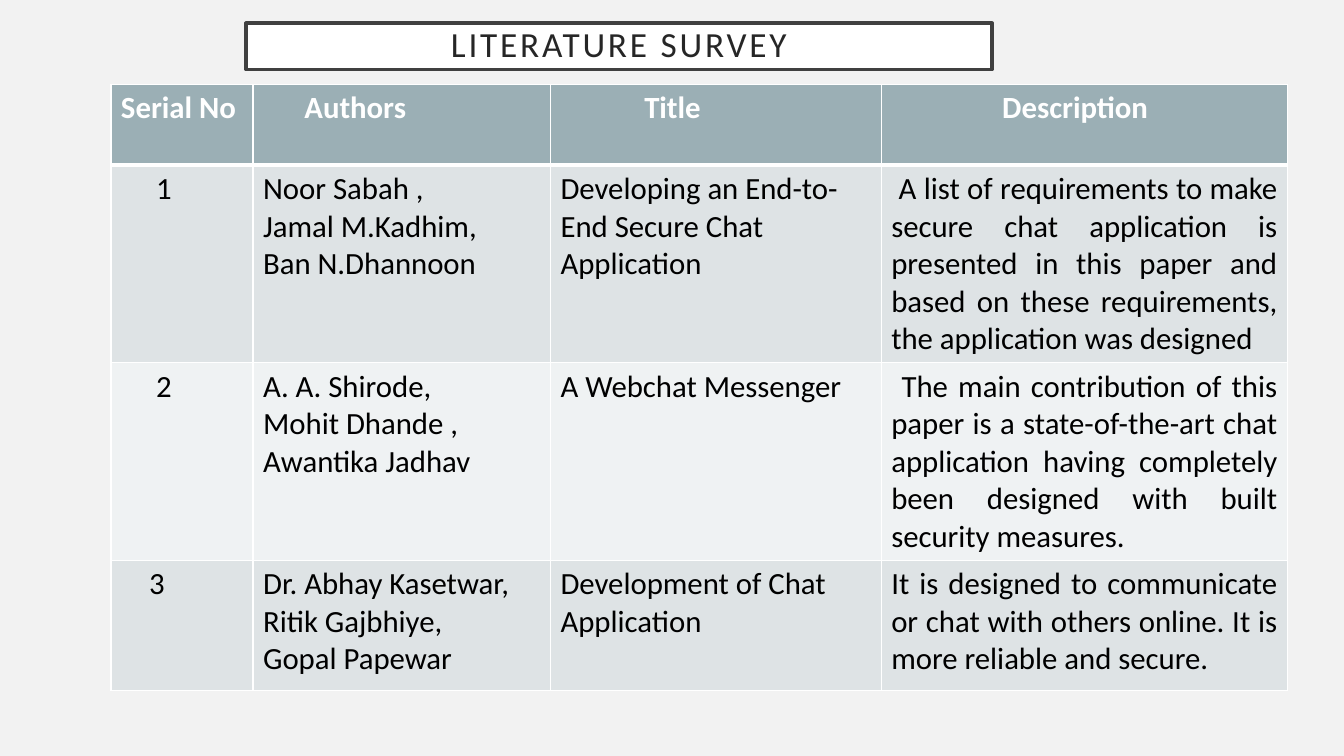
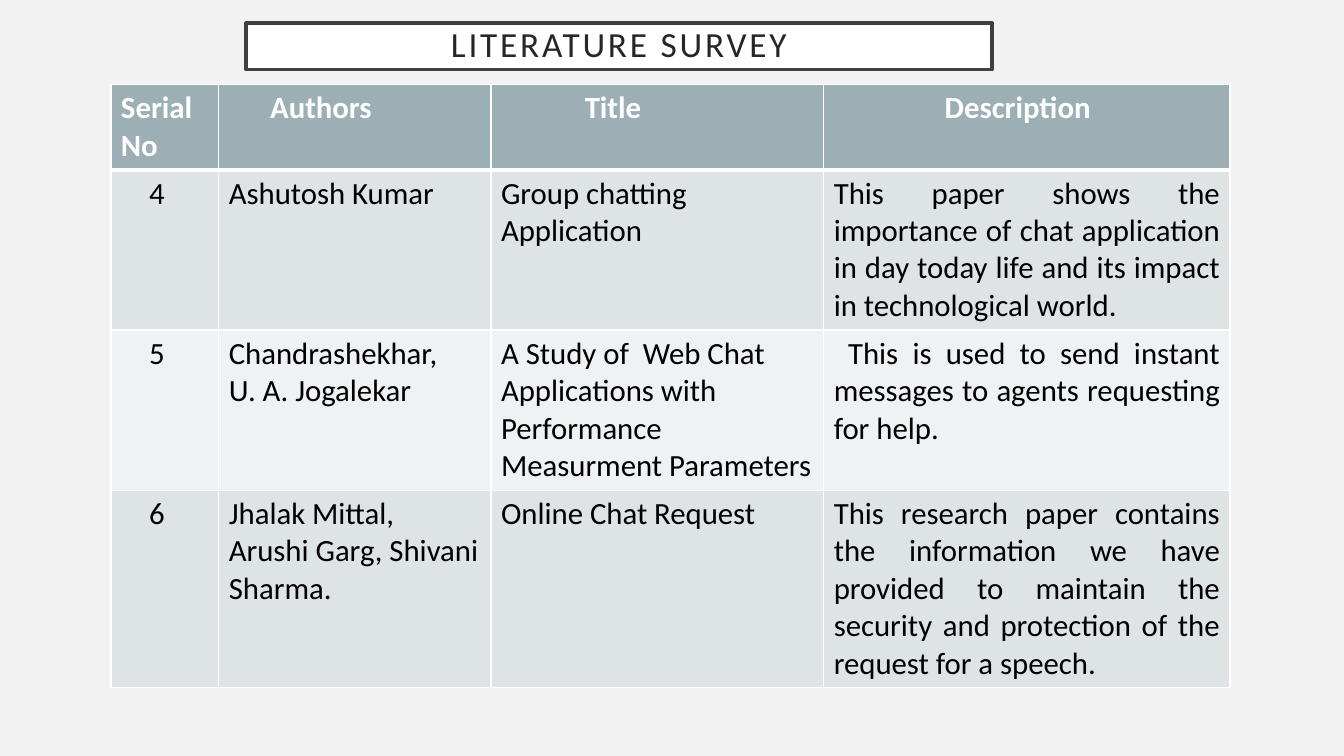
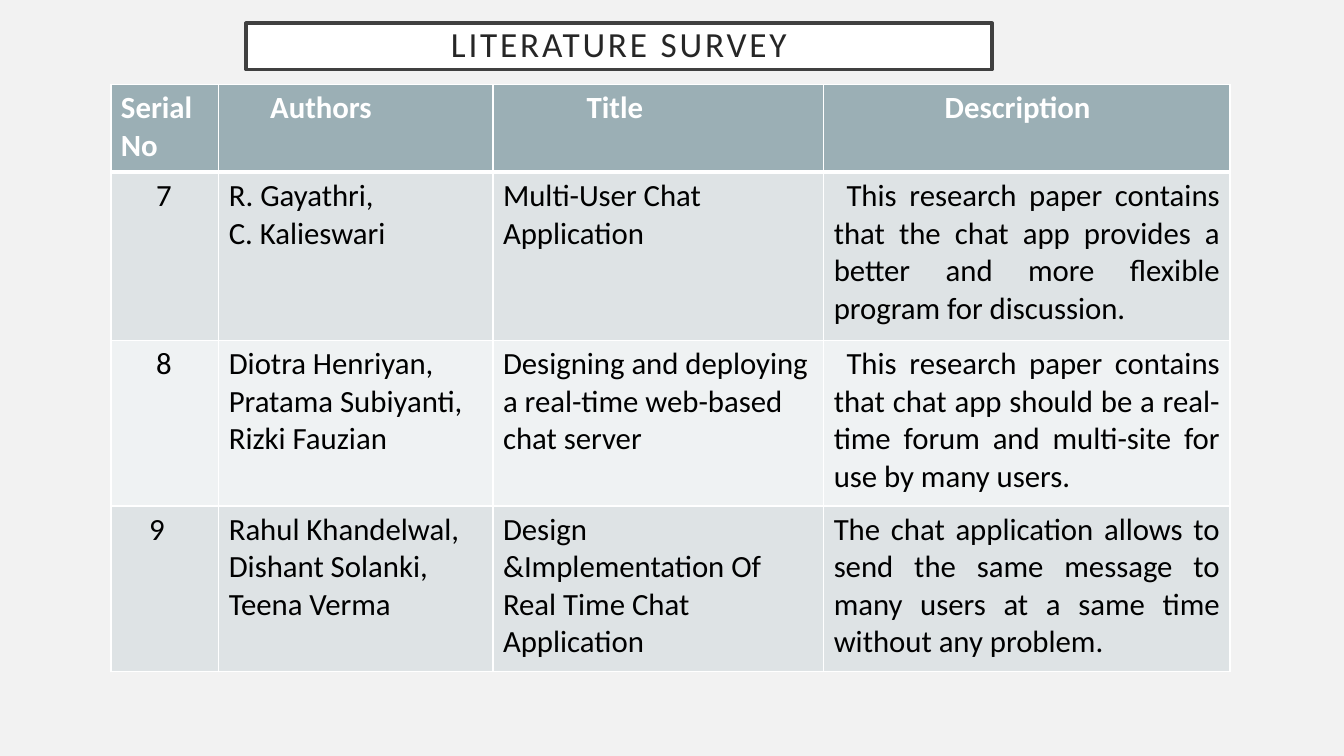
"""Build three literature survey slides, each with a titled table."""
from lxml import etree
from pptx import Presentation
from pptx.dml.color import RGBColor
from pptx.enum.text import MSO_ANCHOR, MSO_AUTO_SIZE, PP_ALIGN
from pptx.oxml.ns import qn
from pptx.util import Inches, Pt

CENTER, LEFT, JUSTIFY = PP_ALIGN.CENTER, PP_ALIGN.LEFT, PP_ALIGN.JUSTIFY
MIDDLE = MSO_ANCHOR.MIDDLE
NO_AUTOFIT = MSO_AUTO_SIZE.NONE
TITLE_ONLY = 5
FONT = "Calibri"
COLORS = {
    "background": "F2F2F2",
    "white": "FFFFFF",
    "frame": "404040",
    "title": "262626",
    "header": "9BAFB5",
    "odd": "DEE3E5",
    "even": "EFF2F3",
    "body": "000000",
}
HEADERS = ["Serial No", "Authors", "Title", "Description"]
HEADER_INDENTS = [0, 0.41, 0.83, 1.1]
CELL_MARGIN = 0.1
NARROW, WIDE = 0.28, 0.35

SURVEYS = [
    {
        "cols": [1.41, 2.95, 3.28, 4.03],
        "heights": [0.8, 1.96, 1.96, 1.29],
        "indents": [WIDE, WIDE, NARROW],
        "papers": [
            ["1", "Noor Sabah ,\nJamal M.Kadhim,\nBan N.Dhannoon",
             "Developing an End-to-End Secure Chat Application",
             " A list of requirements to make secure chat application is presented in this "
             "paper and based on these requirements, the application was designed"],
            ["2", "A. A. Shirode,\nMohit Dhande ,\nAwantika Jadhav",
             "A Webchat Messenger",
             " The main contribution of this paper is a state-of-the-art chat application "
             "having completely been designed with built security measures."],
            ["3", "Dr. Abhay Kasetwar,\nRitik Gajbhiye,\nGopal Papewar",
             "Development of Chat Application",
             "It is designed to communicate or chat with others online. It is more "
             "reliable and secure."],
        ],
    },
    {
        "cols": [1.07, 2.7, 3.3, 4.03],
        "heights": [0.84, 1.59, 1.59, 1.96],
        "indents": [NARROW, NARROW, NARROW],
        "papers": [
            ["4", "Ashutosh Kumar", "Group chatting Application",
             "This paper shows the importance of chat application in day today life and "
             "its impact in technological world."],
            ["5", "Chandrashekhar,\nU. A. Jogalekar",
             "A Study of  Web Chat Applications with Performance Measurment Parameters",
             " This is used to send instant messages to agents requesting for help."],
            ["6", "Jhalak Mittal, Arushi Garg, Shivani Sharma.", "Online Chat Request",
             "This research paper contains the information we have provided to maintain "
             "the security and protection of the request for a speech."],
        ],
    },
    {
        "cols": [1.07, 2.72, 3.28, 4.03],
        "heights": [0.87, 1.67, 1.64, 1.64],
        "indents": [WIDE, WIDE, NARROW],
        "papers": [
            ["7", "R. Gayathri,\nC. Kalieswari", "Multi-User Chat Application",
             " This research paper contains that the chat app provides a better and more "
             "flexible program for discussion."],
            ["8", "Diotra Henriyan, Pratama Subiyanti, Rizki Fauzian",
             "Designing and deploying a real-time web-based chat server",
             " This research paper contains that chat app should be a real-time forum and "
             "multi-site for use by many users."],
            ["9", "Rahul Khandelwal, Dishant Solanki, Teena Verma",
             "Design &Implementation Of Real Time Chat Application",
             "The chat application allows to send the same message to many users at a "
             "same time without any problem."],
        ],
    },
]


def rgb(name):
    return RGBColor.from_string(COLORS[name])


class Deck:
    """Holds the shared style and the current slide."""

    def __init__(self):
        self.prs = Presentation()
        self.prs.slide_width, self.prs.slide_height = Inches(13.33), Inches(7.5)
        fill = self.prs.slide_master.background.fill
        fill.solid()
        fill.fore_color.rgb = rgb("background")
        self.s = None

    def add_slide(self, title):
        self.s = self.prs.slides.add_slide(self.prs.slide_layouts[TITLE_ONLY])
        sp = self.s.shapes.title
        sp.left, sp.top = Inches(2.44), Inches(0.23)
        sp.width, sp.height = Inches(7.4), Inches(0.46)
        sp.fill.solid()
        sp.fill.fore_color.rgb = rgb("white")
        sp.line.color.rgb = rgb("frame")
        sp.line.width = Pt(2.5)
        tf = sp.text_frame
        tf.text = title
        tf.word_wrap = True
        tf.auto_size = NO_AUTOFIT
        tf.vertical_anchor = MIDDLE
        tf.margin_left = tf.margin_right = Inches(0.2)
        tf.margin_top = tf.margin_bottom = Inches(0.2)
        tf.paragraphs[0].line_spacing = 0.9
        self.format_text(tf, 25.2, "title", CENTER)
        tf.paragraphs[0].runs[0].font._element.set("spc", "200")

    def format_text(self, tf, size, color, align, bold=False):
        for p in tf.paragraphs:
            p.alignment = align
            for r in p.runs:
                r.font.name, r.font.size, r.font.bold = FONT, Pt(size), bold
                r.font.color.rgb = rgb(color)

    def add_borders(self, cell, top, bottom):
        tcPr = cell._tc.get_or_add_tcPr()
        for tag, width in (("a:lnL", 1), ("a:lnR", 1), ("a:lnT", top), ("a:lnB", bottom)):
            ln = etree.SubElement(tcPr, qn(tag), w=str(Pt(width)))
            fill = etree.SubElement(ln, qn("a:solidFill"))
            etree.SubElement(fill, qn("a:srgbClr"), val=COLORS["white"])

    def add_cell(self, cell, text, row, indent, align):
        header = row == 0
        self.add_borders(cell, 3 if row == 1 else 1, 3 if header else 1)
        cell.fill.solid()
        cell.fill.fore_color.rgb = rgb("header" if header else "odd" if row % 2 else "even")
        cell.margin_left = Inches(CELL_MARGIN + indent)
        cell.text_frame.text = text
        self.format_text(cell.text_frame, 22, "white" if header else "body", align, header)

    def add_table(self, cols, heights, indents, papers):
        frame = self.s.shapes.add_table(
            len(heights), len(cols), Inches(1.1), Inches(0.84),
            Inches(sum(cols)), Inches(sum(heights)))
        table = frame.table
        for col, width in zip(table.columns, cols):
            col.width = Inches(width)
        for row, height in zip(table.rows, heights):
            row.height = Inches(height)
        all_indents = [HEADER_INDENTS] + [[indent, 0, 0, 0] for indent in indents]
        for i, texts in enumerate([HEADERS] + papers):
            for j, text in enumerate(texts):
                align = JUSTIFY if i and j == 3 else LEFT
                self.add_cell(table.cell(i, j), text, i, all_indents[i][j], align)


def main():
    deck = Deck()
    for survey in SURVEYS:
        deck.add_slide("LITERATURE SURVEY")
        deck.add_table(**survey)
    deck.prs.save("out.pptx")


if __name__ == "__main__":
    main()
